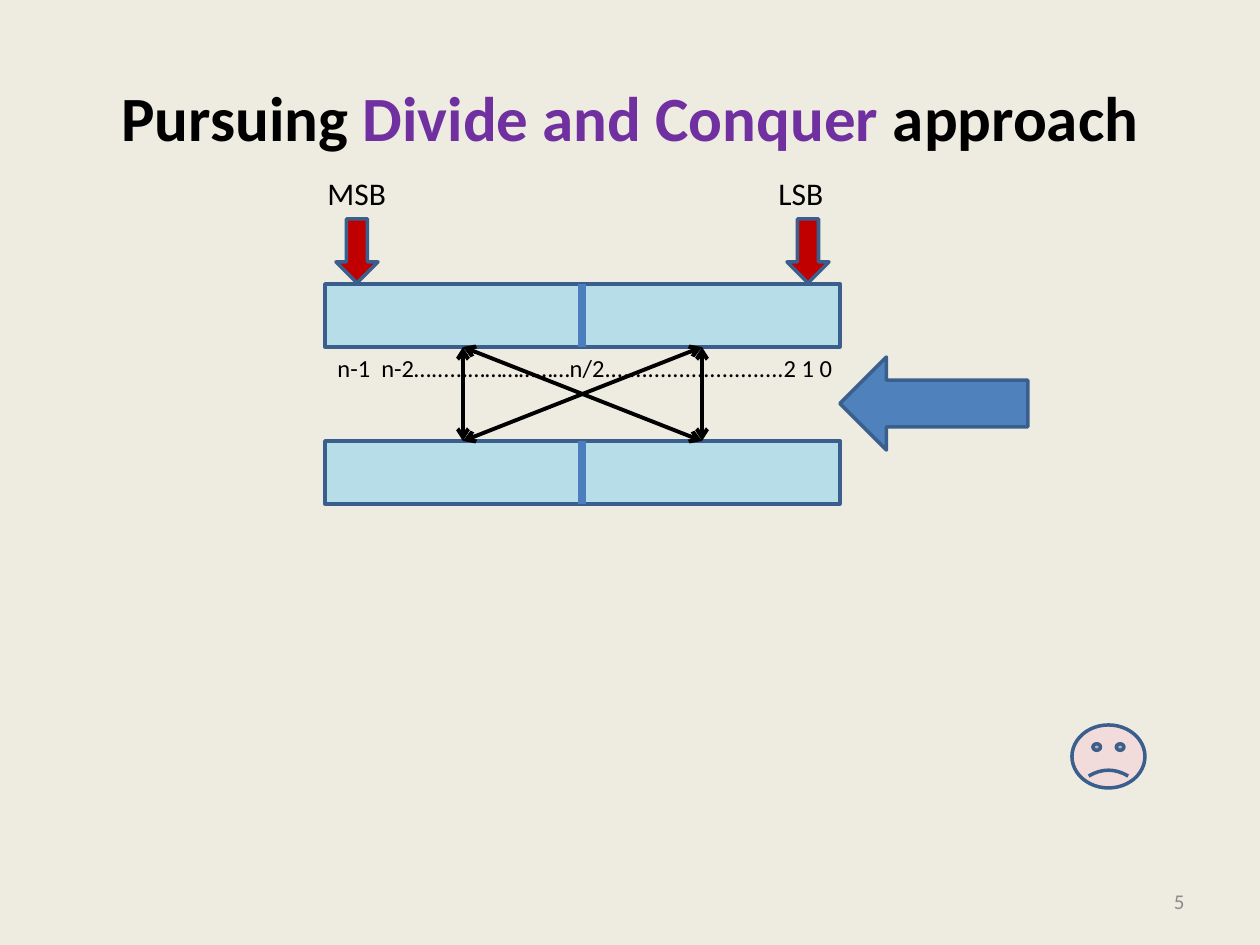
from dataclasses import dataclass

from lxml import etree
from pptx import Presentation
from pptx.dml.color import RGBColor
from pptx.enum.shapes import MSO_CONNECTOR, MSO_SHAPE
from pptx.enum.text import MSO_ANCHOR, PP_ALIGN
from pptx.oxml.ns import qn
from pptx.util import Pt

PX = 914400 / 126
TITLE_ONLY = 5
STRAIGHT = MSO_CONNECTOR.STRAIGHT
RECTANGLE, DOWN_ARROW = MSO_SHAPE.RECTANGLE, MSO_SHAPE.DOWN_ARROW
LEFT_ARROW, FACE = MSO_SHAPE.LEFT_ARROW, MSO_SHAPE.SMILEY_FACE
LEFT, CENTER, RIGHT = PP_ALIGN.LEFT, PP_ALIGN.CENTER, PP_ALIGN.RIGHT
TOP, MIDDLE = MSO_ANCHOR.TOP, MSO_ANCHOR.MIDDLE


@dataclass(frozen=True)
class Theme:
    font: str = "Calibri"
    background: str = "EEECE1"
    ink: str = "000000"
    accent: str = "7030A0"
    muted: str = "8C8C8C"
    bar: str = "B7DEE8"
    outline: str = "3A5F8C"
    divider: str = "4B7EBC"
    marker: str = "C00000"
    pointer: str = "4F81BD"
    face: str = "F2DCDB"
    title_size: int = 36
    label_size: int = 18
    index_size: int = 14
    number_size: int = 12


def emu(*lengths):
    return [round(length * PX) for length in lengths]


def rgb(value):
    return RGBColor.from_string(value)


class SlideBuilder:
    def __init__(self, page, theme):
        self.page = page
        self.theme = theme
        fill = page.background.fill
        fill.solid()
        fill.fore_color.rgb = rgb(theme.background)

    def style(self, font, size, color, bold=False):
        font.name = self.theme.font
        font.size = Pt(size)
        font.bold = bold
        font.color.rgb = rgb(color)

    def title(self, box, spans):
        title = self.page.shapes.title
        title.left, title.top, title.width, title.height = emu(*box)
        frame = title.text_frame
        frame.vertical_anchor = MIDDLE
        para = frame.paragraphs[0]
        para.alignment = CENTER
        for text, color in spans:
            span = para.add_run()
            span.text = text
            self.style(span.font, self.theme.title_size, color, bold=True)

    def text(self, box, text, size, color, align=LEFT, anchor=TOP, wrap=False):
        frame = self.page.shapes.add_textbox(*emu(*box)).text_frame
        frame.word_wrap = wrap
        frame.vertical_anchor = anchor
        frame.text = text
        para = frame.paragraphs[0]
        para.alignment = align
        self.style(para.runs[0].font, size, color)

    def shape(self, kind, box, color):
        shape = self.page.shapes.add_shape(kind, *emu(*box))
        shape.shadow.inherit = False
        shape.fill.solid()
        shape.fill.fore_color.rgb = rgb(color)
        shape.line.color.rgb = rgb(self.theme.outline)
        shape.line.width = Pt(2)
        return shape

    def line(self, start, end, color, width, arrows=False):
        line = self.page.shapes.add_connector(STRAIGHT, *emu(*start, *end))
        line.line.color.rgb = rgb(color)
        line.line.width = Pt(width)
        if arrows:
            outline = line.line._get_or_add_ln()
            for tag in ("a:headEnd", "a:tailEnd"):
                etree.SubElement(outline, qn(tag), type="arrow")
        etree.SubElement(line._element.spPr, qn("a:effectLst"))


def main():
    theme = Theme()
    deck = Presentation()
    deck.slide_width, deck.slide_height = emu(1260, 945)
    page = deck.slides.add_slide(deck.slide_layouts[TITLE_ONLY])
    builder = SlideBuilder(page, theme)

    # Title and page number
    builder.title((63, 38, 1134, 157), [
        ("Pursuing", theme.ink),
        (" Divide and Conquer ", theme.accent),
        ("approach", theme.ink),
    ])
    builder.text((903, 876, 294, 50), "5", theme.number_size, theme.muted,
                 RIGHT, MIDDLE, wrap=True)

    # The two numbers, each split into halves
    bar_left, bar_width, bar_height = 325, 515, 63
    upper_top, lower_top = 284, 441
    upper_bottom = upper_top + bar_height
    for top in (upper_top, lower_top):
        builder.shape(RECTANGLE, (bar_left, top, bar_width, bar_height), theme.bar)

    # Most and least significant bit markers
    for text, left, width in (("MSB", 315, 84), ("LSB", 766, 71)):
        builder.shape(DOWN_ARROW, (left + 21, 219, 42, 64), theme.marker)
        builder.text((left, 168, width, 50), text, theme.label_size, theme.ink)

    # Bit positions
    builder.text((bar_left, upper_bottom, 534, 43),
                 "n-1  n-2…......………………n/2.............................2 1 0",
                 theme.index_size, theme.ink)

    # Dividers between the halves
    middle = bar_left + bar_width // 2
    for top in (upper_top, lower_top):
        builder.line((middle, top), (middle, top + bar_height), theme.divider, 4.5)

    # Products of every pair of halves
    left_half, right_half = 463, 702
    for start, end in ((left_half, left_half), (right_half, right_half),
                       (left_half, right_half), (right_half, left_half)):
        builder.line((start, upper_bottom), (end, lower_top),
                     theme.ink, 2.25, arrows=True)

    # Pointer and sad face
    builder.shape(LEFT_ARROW, (840, 357, 188, 93), theme.pointer)
    face = builder.shape(FACE, (1072, 725, 73, 63), theme.face)
    face.adjustments[0] = -0.047

    deck.save("out.pptx")


if __name__ == "__main__":
    main()
